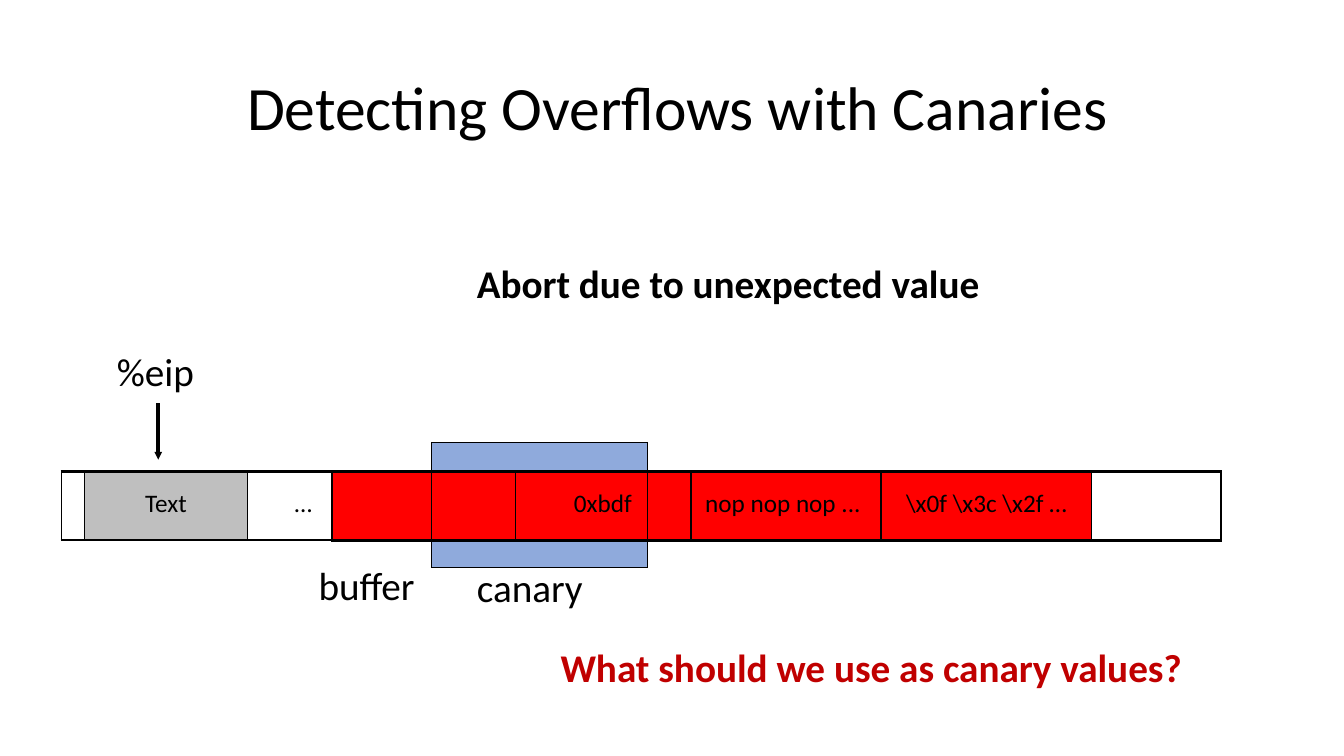
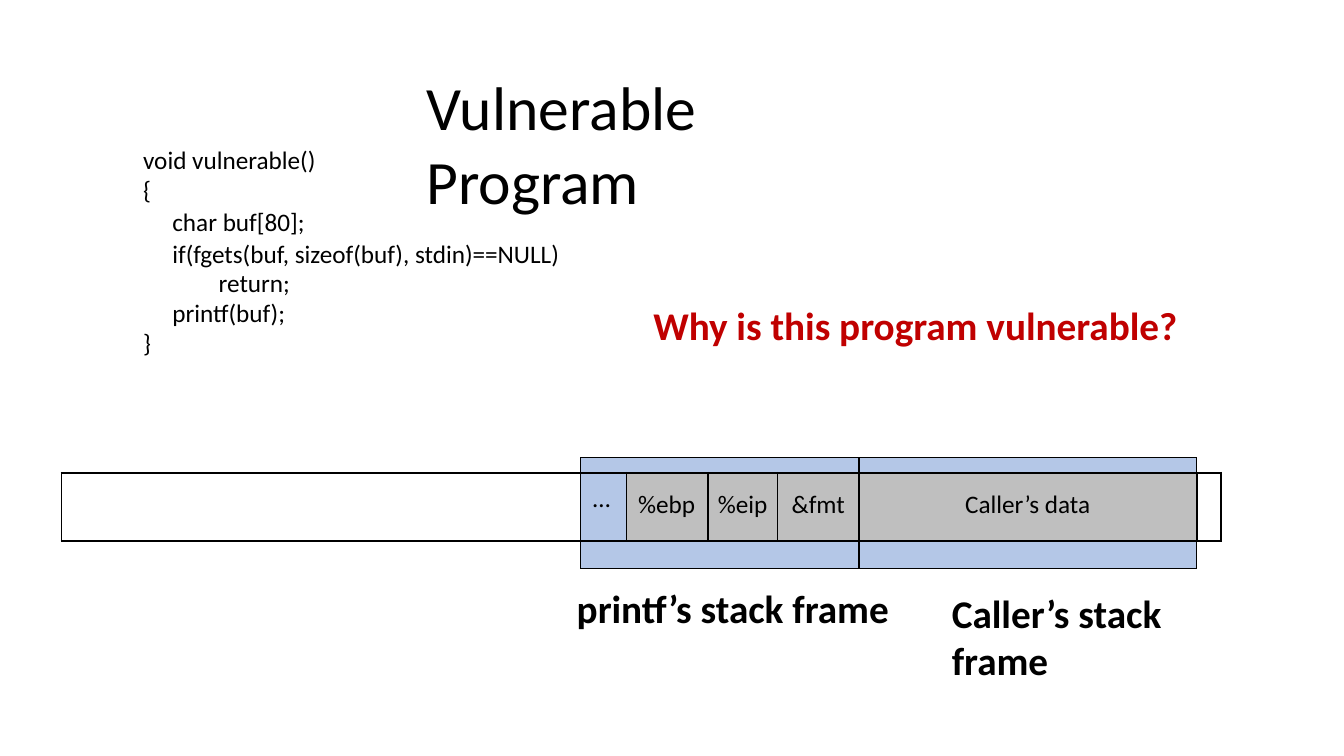
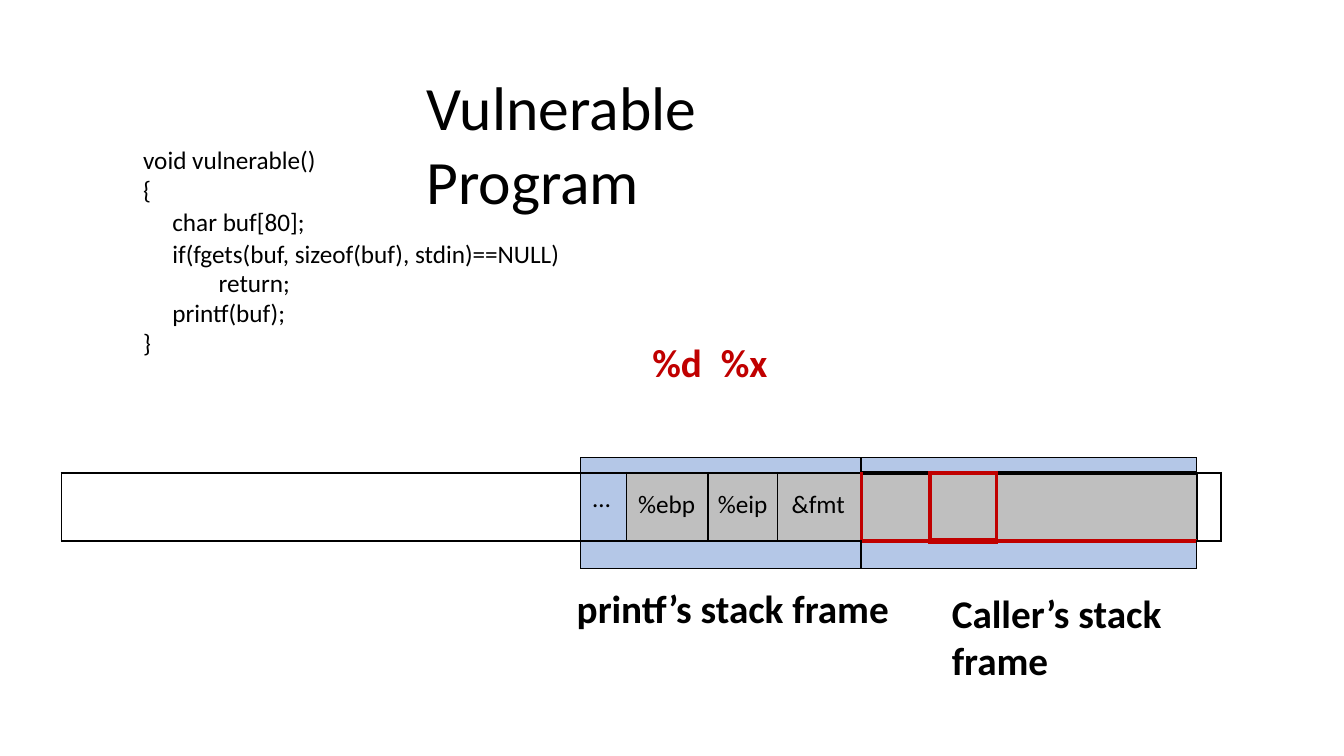
import dataclasses

import lxml.etree
import pptx
import pptx.dml.color
import pptx.enum.shapes
import pptx.enum.text
import pptx.oxml.ns
import pptx.util

WIDE, HIGH = 13.33, 7.5
FONT = "Calibri"
BLACK, RED, DARK = "000000", "FF0000", "C00000"
GRAY, BLUE, PALE = "BFBFBF", "8FAADC", "B4C7E7"
USUAL = "1.5 1.5 1 1.5"
TITLE_TOP = 9.07
CODE = [  # text, left margin, first-line indent, space before
    ("void vulnerable()", 0, 0, 0),
    ("{", 0, 0, 0),
    ("char buf[80];", 0.29, 0, 1.5),
    ("if(fgets(buf, sizeof(buf), stdin)==NULL) return;", 0.75, -0.46, 1.5),
    ("printf(buf);", 0.29, 0, 0),
    ("}", 0, 0, 0),
]


@dataclasses.dataclass
class Cell:
    """Lines are widths for left, top, right, bottom; a final r means dark red."""
    text: str = ""
    fill: str = ""
    lines: str = USUAL
    left: float = None
    span: int = 1
    top: float = 0.17


def across(share):
    return pptx.util.Inches(WIDE * share / 100)


def down(share):
    return pptx.util.Inches(HIGH * share / 100)


def color(text):
    return pptx.dml.color.RGBColor.from_string(text)


def add(parent, tag, **attrs):
    return lxml.etree.SubElement(parent, pptx.oxml.ns.qn(tag), **attrs)


def style(para, size, ink=BLACK, bold=False):
    for run in para.runs:
        run.font.name, run.font.size = FONT, pptx.util.Pt(size)
        run.font.bold, run.font.color.rgb = bold, color(ink)


def label(slide, left, top, width, text, size=28, ink=BLACK, bold=False):
    """Place text by shares of the slide; return its frame."""
    height = size * 1.22 / 72 / HIGH * 100
    box = slide.shapes.add_textbox(across(left), down(top), across(width), down(height))
    frame = box.text_frame
    frame.word_wrap = True
    frame.margin_left = frame.margin_top = frame.margin_right = frame.margin_bottom = 0
    frame.text = text
    for para in frame.paragraphs:
        style(para, size, ink, bold)
    return frame


def border(cell, lines):
    props = cell._tc.get_or_add_tcPr()
    left, top, right, bottom = lines.split()
    for side, line in zip("LRTB", (left, right, top, bottom)):
        width = float(line.rstrip("r"))
        edge = add(props, f"a:ln{side}", w=str(int(pptx.util.Pt(width))))
        if width:
            ink = DARK if line.endswith("r") else BLACK
            add(add(edge, "a:solidFill"), "a:srgbClr", val=ink)
        else:
            add(edge, "a:noFill")


def fill_cell(cell, part):
    cell.margin_left = pptx.util.Inches(part.left or 0)
    cell.margin_top = pptx.util.Inches(part.top if part.text else 0)
    cell.margin_right = cell.margin_bottom = 0
    border(cell, part.lines)
    if part.fill:
        cell.fill.solid()
        cell.fill.fore_color.rgb = color(part.fill)
    else:
        cell.fill.background()
    para = cell.text_frame.paragraphs[0]
    if part.text:
        para.text = part.text
        style(para, 18)
        if part.left is None:
            para.alignment = pptx.enum.text.PP_ALIGN.CENTER
    else:
        add(para._p, "a:endParaRPr", sz="600")


def memory(slide, top, cols, rows, parts):
    """Draw a strip of memory; cols and rows hold relative sizes."""
    left, width, height = across(4.58), across(86.27), down(sum(rows) / HIGH * 100)
    shape = slide.shapes.add_table(len(rows), len(cols), left, down(top), width, height)
    table = shape.table
    table.first_row = table.horz_banding = False
    plain = table._tbl.tblPr.find(pptx.oxml.ns.qn("a:tableStyleId"))
    plain.text = "{2D5ABB26-0587-4C30-8999-92F81FD0307C}"
    for col, size in zip(table.columns, cols):
        col.width = int(width * size / sum(cols))
    for row, size in zip(table.rows, rows):
        row.height = int(height * size / sum(rows))
    for y, line in enumerate(parts):
        x = 0
        for part in line:
            cell = table.cell(y, x)
            if part.span > 1:
                cell.merge(table.cell(y, x + part.span - 1))
            fill_cell(cell, part)
            for hidden in range(x + 1, x + part.span):
                para = table.cell(y, hidden).text_frame.paragraphs[0]
                add(para._p, "a:endParaRPr", sz="600")
            x += part.span


def arrow(slide, x, top, end):
    line = slide.shapes.add_connector(
        pptx.enum.shapes.MSO_CONNECTOR.STRAIGHT, across(x), down(top), across(x), down(end))
    line.line.color.rgb = color(BLACK)
    line.line.width = pptx.util.Pt(2.75)
    add(line.line._get_or_add_ln(), "a:tailEnd", type="triangle", w="sm", len="sm")
    add(line._element.spPr, "a:effectLst")


def canary(slide):
    label(slide, 18.38, TITLE_TOP, 74.1, "Detecting Overflows with Canaries", 44)
    label(slide, 23.7, 74.27, 8, "buffer")
    label(slide, 35.48, 74.53, 9, "canary")
    memory(
        slide, 58.53,
        [0.23, 1.61, 0.84, 0.99, 0.83, 1.31, 0.43, 1.88, 2.09, 1.28],
        [0.29, 0.68, 0.27],
        [
            [Cell(lines="0 0 1 2.25", span=4),
             Cell(fill=BLUE, lines="1 1 1 2.25", span=2),
             Cell(lines="1 0 0 2.25", span=4)],
            [Cell(lines="1.5 2.25 1 1.5"),
             Cell("Text", GRAY, "1 1.5 1 1.5"),
             Cell("…", lines="1 1.5 1 1.5", left=0.47),
             Cell(fill=RED, lines="1 2.25 1 2.25"),
             Cell(fill=RED, lines="1 2.25 1.5 2.25"),
             Cell("0xbdf", RED, "1.5 2.25 1 2.25", 0.58),
             Cell(fill=RED, lines="1 2.25 1 2.25"),
             Cell("nop nop nop ...", RED, "1 1.5 1.5 1.5", 0.14),
             Cell("\\x0f \\x3c \\x2f …", RED, "1.5 1.5 1 1.5", 0.25),
             Cell(lines="1 1.5 1.5 1.5")],
            [Cell(lines="0 1.5 1 0", span=4),
             Cell(fill=BLUE, lines="1 2.25 1 1", span=2),
             Cell(lines="1 2.25 0 0", span=4)],
        ])
    label(slide, 8.7, 46, 7, "%eip")
    arrow(slide, 11.78, 53.33, 60.8)
    label(slide, 35.48, 34.27, 40, "Abort due to unexpected value", bold=True)
    label(slide, 41.71, 85.07, 48, "What should we use as canary values?", ink=DARK, bold=True)


def code(slide):
    text = "\n".join(line[0] for line in CODE)
    frame = label(slide, 10.65, 19.2, 31.1, text, 18)
    for para, (_, margin, indent, gap) in zip(frame.paragraphs, CODE):
        props = para._p.get_or_add_pPr()
        props.set("marL", str(int(pptx.util.Inches(margin))))
        props.set("indent", str(int(pptx.util.Inches(indent))))
        para.line_spacing = pptx.util.Pt(21.2)
        para.space_before = pptx.util.Pt(gap)


def program(slide, cols, caller, edge, over, under):
    """Show the program and its stack; caller holds the cells of the caller's data."""
    count = len(caller)
    memory(
        slide, 60.53, [5.14, 0.45, 0.81, 0.69, *cols, 0.24], [0.15, 0.68, 0.27],
        [
            [Cell(lines="0 0 1 1.5"),
             Cell(fill=PALE, lines="1 1 1.5 1.5", span=4),
             Cell(fill=PALE, lines=f"1.5 1 1 {over}", span=count),
             Cell(lines="1 0 0 1.5")],
            [Cell(),
             Cell("…", PALE, "1 1.5 1 1.5", 0.12, top=0.11),
             Cell("%ebp", GRAY, "1 1.5 1.5 1.5", 0.12),
             Cell("%eip", GRAY, USUAL, 0.1),
             Cell("&fmt", GRAY, f"1 1.5 {edge} 1.5", 0.14),
             *caller,
             Cell(lines="1.5 1.5 1.5 1.5")],
            [Cell(lines="0 1.5 1 0"),
             Cell(fill=PALE, lines="1 1.5 1.5 1", span=4),
             Cell(fill=PALE, lines=f"1.5 {under} 1 1", span=count),
             Cell(lines="1 1.5 0 0")],
        ])
    label(slide, 31.73, TITLE_TOP, 36, "Vulnerable Program", 44)
    label(slide, 42.91, 77.33, 24.5, "printf’s stack frame", bold=True)
    label(slide, 70.82, 78, 15.75, "Caller’s stack frame", bold=True)
    code(slide)


def question(slide):
    data = Cell("Caller’s data", GRAY, "1.5 1.5 1.5 1.5", 1.05)
    program(slide, [0.81, 3.34], [data], "1.5", "1.5", "1.5")
    label(slide, 48.61, 39.87, 40, "Why is this program vulnerable?", ink=DARK, bold=True)


def format_args(slide):
    edges = ["2.25r 3 3r 3r", "3r 3r 2.25r 4.5r", "2.25r 1.5 1.5 1.5"]
    data = [Cell(fill=GRAY, lines=lines) for lines in edges]
    program(slide, [0.83, 0.68, 0.66, 1.98], data, "2.25r", "3", "3r")
    frame = label(slide, 48.54, 44.8, 10, "%d\t%x", ink=DARK, bold=True)
    tabs = add(frame.paragraphs[0]._p.get_or_add_pPr(), "a:tabLst")
    add(tabs, "a:tab", pos=str(int(pptx.util.Inches(0.68))), algn="l")


def main():
    deck = pptx.Presentation()
    deck.slide_width, deck.slide_height = across(100), down(100)
    for build in (canary, question, format_args):
        build(deck.slides.add_slide(deck.slide_layouts[6]))
    deck.save("out.pptx")


if __name__ == "__main__":
    main()
